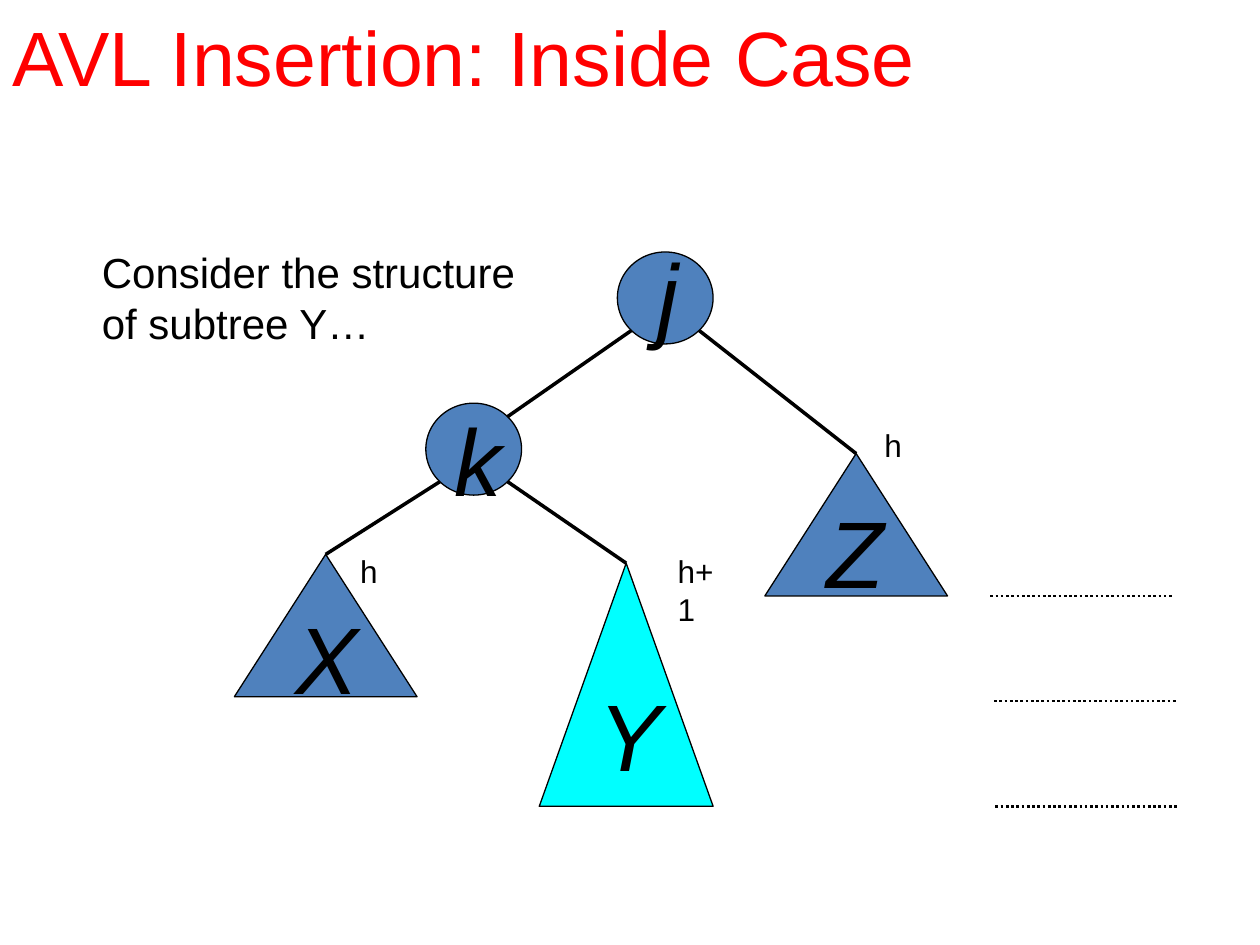
import pptx
import pptx.util
import pptx.dml.color
import pptx.enum.dml
import pptx.enum.shapes
import pptx.enum.text

WIDE, HIGH = 10, 7.5
COLS, ROWS = 100, 75
COLORS = {"title": "FF0000", "ink": "000000", "node": "4F81BD", "focus": "00FFFF"}
FONT = "Arial"
OVAL = pptx.enum.shapes.MSO_SHAPE.OVAL
TRIANGLE = pptx.enum.shapes.MSO_SHAPE.ISOSCELES_TRIANGLE
DIAG = 0.5 ** 0.5

# name: (shape, box within the tree, letter offset, fill)
NODES = {
    "j": (OVAL, (30.4, 0, 7.6, 7.3), (2.2, -2.4), "node"),
    "k": (OVAL, (15.2, 12, 7.6, 7.3), (1.3, -1.3), "node"),
    "X": (TRIANGLE, (0, 24, 14.5, 11.3), (3.9, 2.4), "node"),
    "Y": (TRIANGLE, (24.2, 24.7, 13.8, 19.3), (3.7, 7.8), "focus"),
    "Z": (TRIANGLE, (42.1, 16, 14.5, 11.3), (3.9, 2), "node"),
}
# parent, child, side on which the child hangs
EDGES = [("j", "k", -1), ("k", "X", -1), ("k", "Y", 1), ("j", "Z", 1)]
# wording, box within the tree
HEIGHTS = [
    ("h", (50.6, 13.3, 3.6, 4)),
    ("h+1", (34.2, 23.3, 6.2, 4)),
    ("h", (9, 23.3, 3.4, 4)),
]


def col(n):
    return pptx.util.Inches(n * WIDE / COLS)


def row(n):
    return pptx.util.Inches(n * HIGH / ROWS)


def area(box):
    x, y, w, h = box
    return col(x), row(y), col(w), row(h)


def shift(box, base):
    x, y, w, h = box
    return x + base[0], y + base[1], w, h


def tint(name):
    return pptx.dml.color.RGBColor.from_string(COLORS[name])


def write(slide, box, words, size, color="ink", slant=None, wrap=False):
    frame = slide.shapes.add_textbox(*area(box)).text_frame
    frame.word_wrap = wrap
    frame.text = words
    for para in frame.paragraphs:
        font = para.font
        font.name, font.size, font.italic = FONT, pptx.util.Pt(size), slant
        font.color.rgb = tint(color)
    return frame


def stroke(slide, start, end, width, dash=None):
    line = slide.shapes.add_connector(
        pptx.enum.shapes.MSO_CONNECTOR.STRAIGHT,
        col(start[0]), row(start[1]), col(end[0]), row(end[1]))
    line.line.color.rgb = tint("ink")
    line.line.width = pptx.util.Pt(width)
    if dash:
        line.line.dash_style = dash
    props = line._element.spPr
    props.append(props.makeelement(pptx.oxml.ns.qn("a:effectLst"), {}))


def node(slide, box, kind, letter, gap, fill):
    shape = slide.shapes.add_shape(kind, *area(box))
    shape.shadow.inherit = False
    shape.fill.solid()
    shape.fill.fore_color.rgb = tint(fill)
    shape.line.color.rgb = tint("ink")
    shape.line.width = pptx.util.Pt(0.75)
    spot = shift((*gap, 4.6, 10), box)
    frame = write(slide, spot, letter, 54, slant=True, wrap=True)
    frame.margin_top, frame.margin_bottom = row(1.2), row(0.2)


def port(box, side, down):
    """Point on an oval's rim halfway between two of its axes."""
    x, y, w, h = box
    return x + w / 2 * (1 + side * DIAG), y + h / 2 * (1 + down * DIAG)


def tree(slide, base):
    spots = {}
    for name, (kind, box, gap, fill) in NODES.items():
        spots[name] = shift(box, base)
        node(slide, spots[name], kind, name, gap, fill)
    for upper, lower, side in EDGES:
        x, y, w, h = spots[lower]
        if NODES[lower][0] == OVAL:
            end = port(spots[lower], -side, -1)
        else:
            end = x + w / 2, y
        stroke(slide, port(spots[upper], side, 1), end, 2)
    for words, box in HEIGHTS:
        write(slide, shift(box, base), words, 18)


def levels(slide, box):
    """Dotted lines that mark the depths of the subtrees."""
    x, y, w, h = box
    for i, inset in enumerate((0, 0.3, 0.4)):
        left, top = x + inset, y + i * h / 2
        stroke(slide, (left, top), (left + w, top), 1.5,
               pptx.enum.dml.MSO_LINE.ROUND_DOT)


def title(slide, box):
    frame = write(slide, box, "AVL Insertion: Inside Case", 44, "title", wrap=True)
    frame.vertical_anchor = pptx.enum.text.MSO_ANCHOR.MIDDLE


def main():
    deck = pptx.Presentation()
    deck.slide_width = pptx.util.Inches(WIDE)
    deck.slide_height = pptx.util.Inches(HIGH)
    slide = deck.slides.add_slide(deck.slide_layouts[6])
    write(slide, (7.1, 19.1, 34.8, 9), "Consider the structure\nof subtree Y…", 24)
    tree(slide, (18.6, 20))
    levels(slide, (78.6, 47.3, 14.5, 16.7))
    title(slide, (0, 0, 85.5, 8.8))
    deck.save("out.pptx")


if __name__ == "__main__":
    main()
